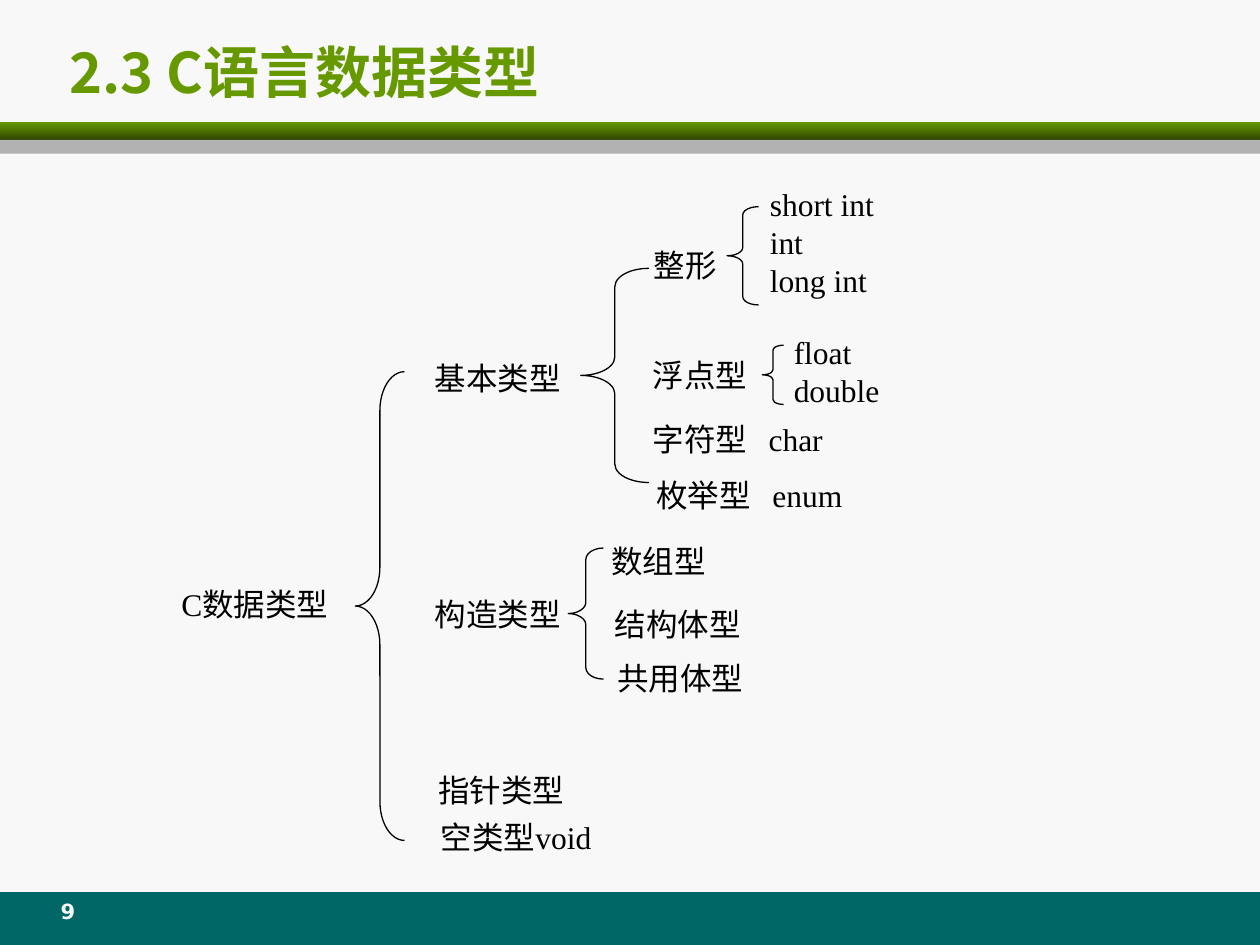
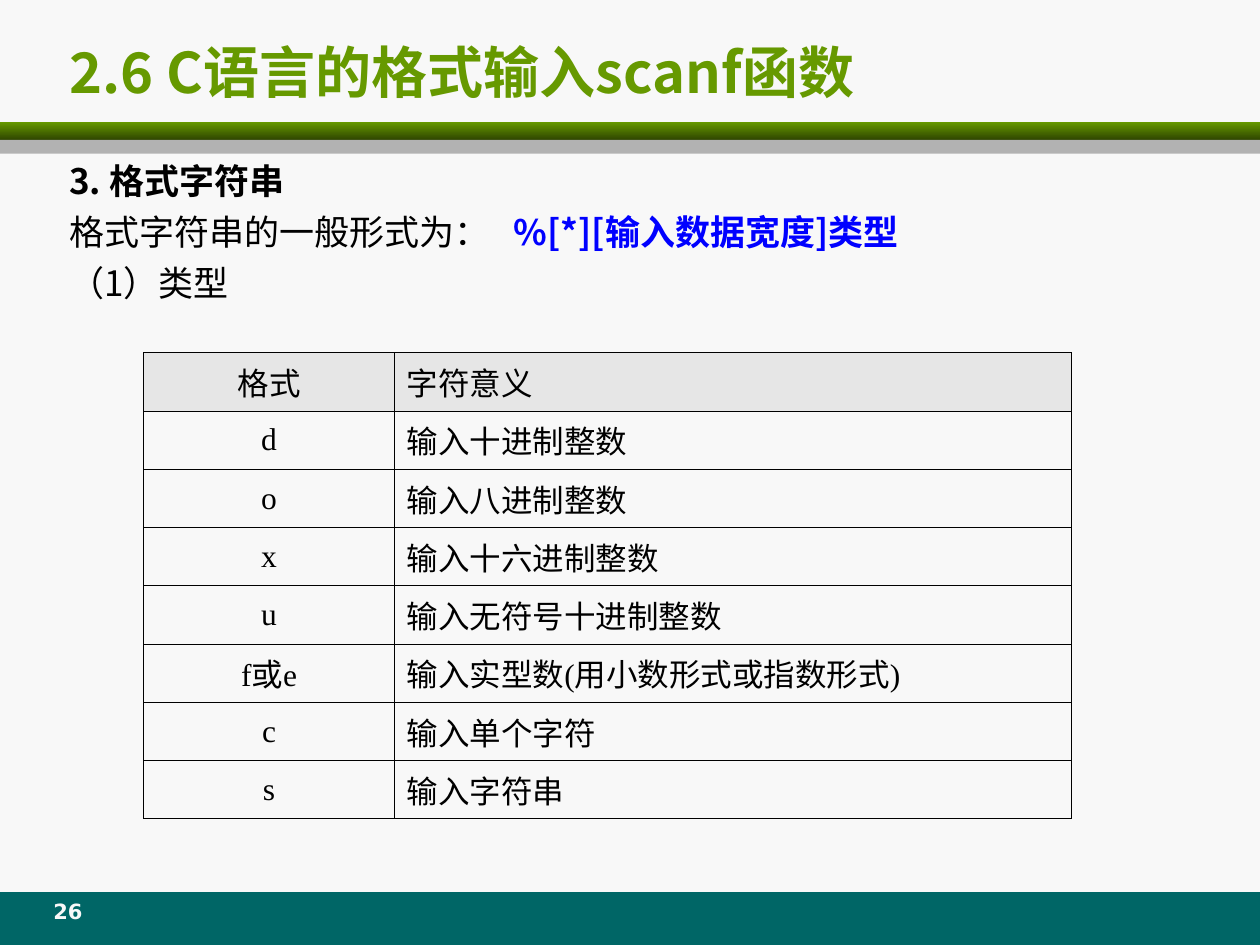
"""Build two slides on C data types and the scanf format string."""
from lxml.etree import SubElement
from pptx import Presentation
from pptx.dml.color import RGBColor
from pptx.enum.shapes import MSO_SHAPE
from pptx.enum.text import MSO_ANCHOR, PP_ALIGN
from pptx.oxml.ns import qn
from pptx.util import Inches, Pt

COLORS = {
    "page": "F8F8F8", "green": "669900", "dark_green": "2F4600",
    "gray": "B2B2B2", "teal": "006666", "header": "E6E6E6",
    "ink": "000000", "blue": "0000FF",
}
SERIF, SANS, TITLE_FONT, NUMBER_FONT = (
    "Times New Roman", "Noto Sans CJK SC", "Noto Sans CJK JP", "DejaVu Sans")
WIDTH, HEIGHT = 10, 7.5
PADDING = (0.1, 0.05)

BANDS = [(0.97, 0.14, "green"), (1.11, 0.11, "gray"), (7.08, 0.42, "teal")]

TYPE_LABELS = [
    (1.44, 4.64, 1.24, ["C数据类型"]),
    (3.45, 2.85, 1.03, ["基本类型"]),
    (3.45, 4.72, 1.24, ["构造类型"]),
    (3.48, 6.12, 1.24, ["指针类型"]),
    (3.5, 6.49, 1.24, ["空类型void"]),
    (5.19, 1.95, 0.63, ["整形"]),
    (5.18, 2.82, 0.85, ["浮点型"]),
    (5.18, 3.33, 1.46, ["字符型\tchar"]),
    (5.21, 3.78, 1.62, ["枚举型\tenum"]),
    (6.11, 1.47, 1, ["short int", "int", "long int"]),
    (6.3, 2.64, 1.06, ["float", "double"]),
    (4.85, 4.3, 1.24, ["数组型"]),
    (4.88, 4.8, 1.24, ["结构体型"]),
    (4.9, 5.23, 1.24, ["共用体型"]),
]
BRACES = [
    (2.82, 2.95, 0.39, 3.72, 0.79),
    (4.61, 2.13, 0.54, 1.7, 0.27),
    (4.51, 4.35, 0.28, 1.04, 0.32),
    (5.77, 1.64, 0.25, 0.78, 0.26),
    (6.05, 2.74, 0.17, 0.47, 0.23),
]

FORMAT_INTRO = [
    [("3. 格式字符串", "ink", True)],
    [("格式字符串的一般形式为：\t", "ink", False),
     ("%[*][输入数据宽度]类型", "blue", True)],
    [("（1）类型", "ink", False)],
]
FORMAT_ROWS = [
    ("格式", "字符意义"),
    ("d", "输入十进制整数"),
    ("o", "输入八进制整数"),
    ("x", "输入十六进制整数"),
    ("u", "输入无符号十进制整数"),
    ("f或e", "输入实型数(用小数形式或指数形式)"),
    ("c", "输入单个字符"),
    ("s", "输入字符串"),
]
FORMAT_COLUMNS = (1.99, 5.37)
TABLE_HEIGHT = 3.7


def rgb(name):
    return RGBColor.from_string(COLORS[name])


def style(para, size, face, color=None, bold=None, align=None, tab=None):
    """Format one paragraph, with an optional left tab stop."""
    if align is not None:
        para.alignment = align
    if tab:
        tabs = SubElement(para._p.get_or_add_pPr(), qn("a:tabLst"))
        SubElement(tabs, qn("a:tab"), pos=str(Inches(tab)), algn="l")
    font = para.font
    font.size, font.name, font.bold = Pt(size), face, bold
    if color:
        font.color.rgb = rgb(color)
    east_asian = TITLE_FONT if face == TITLE_FONT else SANS
    SubElement(para._p.pPr.find(qn("a:defRPr")), qn("a:ea"), typeface=east_asian)


def add_text(page, area, padding=(0, 0)):
    """Add an empty wrapping text box and return its frame."""
    frame = page.shapes.add_textbox(*map(Inches, area)).text_frame
    frame.word_wrap = True
    frame.margin_left = frame.margin_right = Inches(padding[0])
    frame.margin_top = frame.margin_bottom = Inches(padding[1])
    return frame


def paragraphs(frame, items):
    """Yield a paragraph of the frame for each item."""
    for index, item in enumerate(items):
        yield (frame.add_paragraph() if index else frame.paragraphs[0]), item


def add_bands(page):
    """Put the background and the coloured bands on the layout of the page."""
    layout = page.slide_layout
    layout.background.fill.solid()
    layout.background.fill.fore_color.rgb = rgb("page")
    for top, height, color in BANDS:
        band = page.shapes.add_shape(
            MSO_SHAPE.RECTANGLE, *map(Inches, (0, top, WIDTH, height)))
        band.shadow.inherit = False
        band.line.fill.background()
        if color == "green":
            band.fill.gradient()
            band.fill.gradient_angle = 270
            shades = (("green", 0), ("dark_green", 1))
            for stop, (shade, place) in zip(band.fill.gradient_stops, shades):
                stop.color.rgb = rgb(shade)
                stop.position = place
        else:
            band.fill.solid()
            band.fill.fore_color.rgb = rgb(color)
        layout.shapes._spTree.append(band._element)


def add_page(deck, title, number):
    """Add a title-only page with its heading and page number."""
    page = deck.slides.add_slide(deck.slide_layouts[5])
    heading = page.shapes.title
    heading.left, heading.top, heading.width, heading.height = map(
        Inches, (0.45, 0.23, 9.55, 0.67))
    frame = heading.text_frame
    frame.text = title
    frame.vertical_anchor = MSO_ANCHOR.MIDDLE
    style(frame.paragraphs[0], 32, TITLE_FONT, "green", True, PP_ALIGN.LEFT)
    para = add_text(page, (0.25, 7.08, 0.58, 0.33), PADDING).paragraphs[0]
    para.text = str(number)
    style(para, 12, NUMBER_FONT, "page", True, PP_ALIGN.CENTER)
    return page


def add_type_tree(page):
    """Draw the labels and braces of the type tree."""
    for left, top, width, lines in TYPE_LABELS:
        frame = add_text(page, (left, top, width, 0.32 * len(lines)))
        for para, line in paragraphs(frame, lines):
            para.text = line
            para.line_spacing = Pt(21.7)
            style(para, 18, SERIF, "ink", align=PP_ALIGN.JUSTIFY,
                  tab=0.92 if "\t" in line else None)
    for *area, curve in BRACES:
        brace = page.shapes.add_shape(MSO_SHAPE.LEFT_BRACE, *map(Inches, area))
        brace.adjustments[0] = curve
        brace.shadow.inherit = False
        brace.fill.background()
        brace.line.color.rgb = rgb("ink")
        brace.line.width = Pt(0.75)


def add_intro(page):
    """Write the general form of the format string."""
    frame = add_text(page, (0.45, 1.22, 9.19, 1.58), PADDING)
    for para, spans in paragraphs(frame, FORMAT_INTRO):
        if para._p is not frame.paragraphs[0]._p:
            para.space_before = Pt(5)
        style(para, 20, SANS, tab=3.53 if len(spans) > 1 else None)
        for text, color, bold in spans:
            span = para.add_run()
            span.text = text
            span.font.bold = bold
            span.font.color.rgb = rgb(color)


def add_borders(cell):
    """Draw a thin line on each side of a cell."""
    for side in ("lnL", "lnR", "lnT", "lnB"):
        line = SubElement(cell._tc.get_or_add_tcPr(), qn(f"a:{side}"),
                          w=str(Pt(0.45)))
        fill = SubElement(line, qn("a:solidFill"))
        SubElement(fill, qn("a:srgbClr"), val=COLORS["ink"])


def add_format_table(page):
    """Add the table of format characters."""
    area = (1.14, 2.8, sum(FORMAT_COLUMNS), TABLE_HEIGHT)
    table = page.shapes.add_table(
        len(FORMAT_ROWS), len(FORMAT_COLUMNS), *map(Inches, area)).table
    table.first_row = table.horz_banding = False
    for column, width in zip(table.columns, FORMAT_COLUMNS):
        column.width = Inches(width)
    for row, texts in enumerate(FORMAT_ROWS):
        for column, text in enumerate(texts):
            cell = table.cell(row, column)
            cell.text = text
            cell.vertical_anchor = MSO_ANCHOR.TOP if column else MSO_ANCHOR.MIDDLE
            add_borders(cell)
            if row:
                cell.fill.background()
            else:
                cell.fill.solid()
                cell.fill.fore_color.rgb = rgb("header")
            style(cell.text_frame.paragraphs[0], 18, SERIF, "ink",
                  align=PP_ALIGN.LEFT if column else PP_ALIGN.CENTER)


def main():
    deck = Presentation()
    deck.slide_width, deck.slide_height = Inches(WIDTH), Inches(HEIGHT)
    types_page = add_page(deck, "2.3 C语言数据类型", 9)
    add_bands(types_page)
    add_type_tree(types_page)
    scanf_page = add_page(deck, "2.6 C语言的格式输入scanf函数", 26)
    add_intro(scanf_page)
    add_format_table(scanf_page)
    deck.save("out.pptx")


if __name__ == "__main__":
    main()
